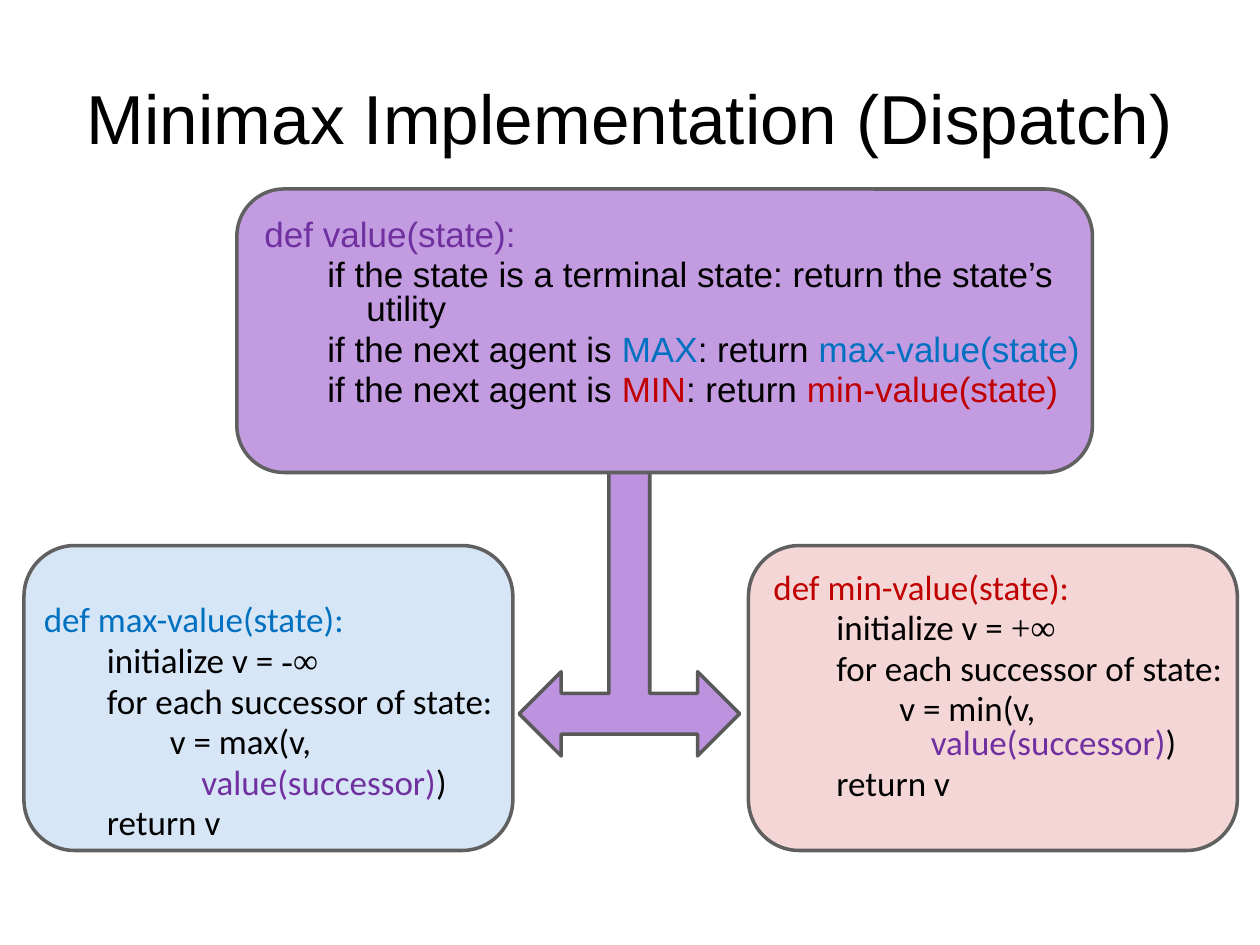
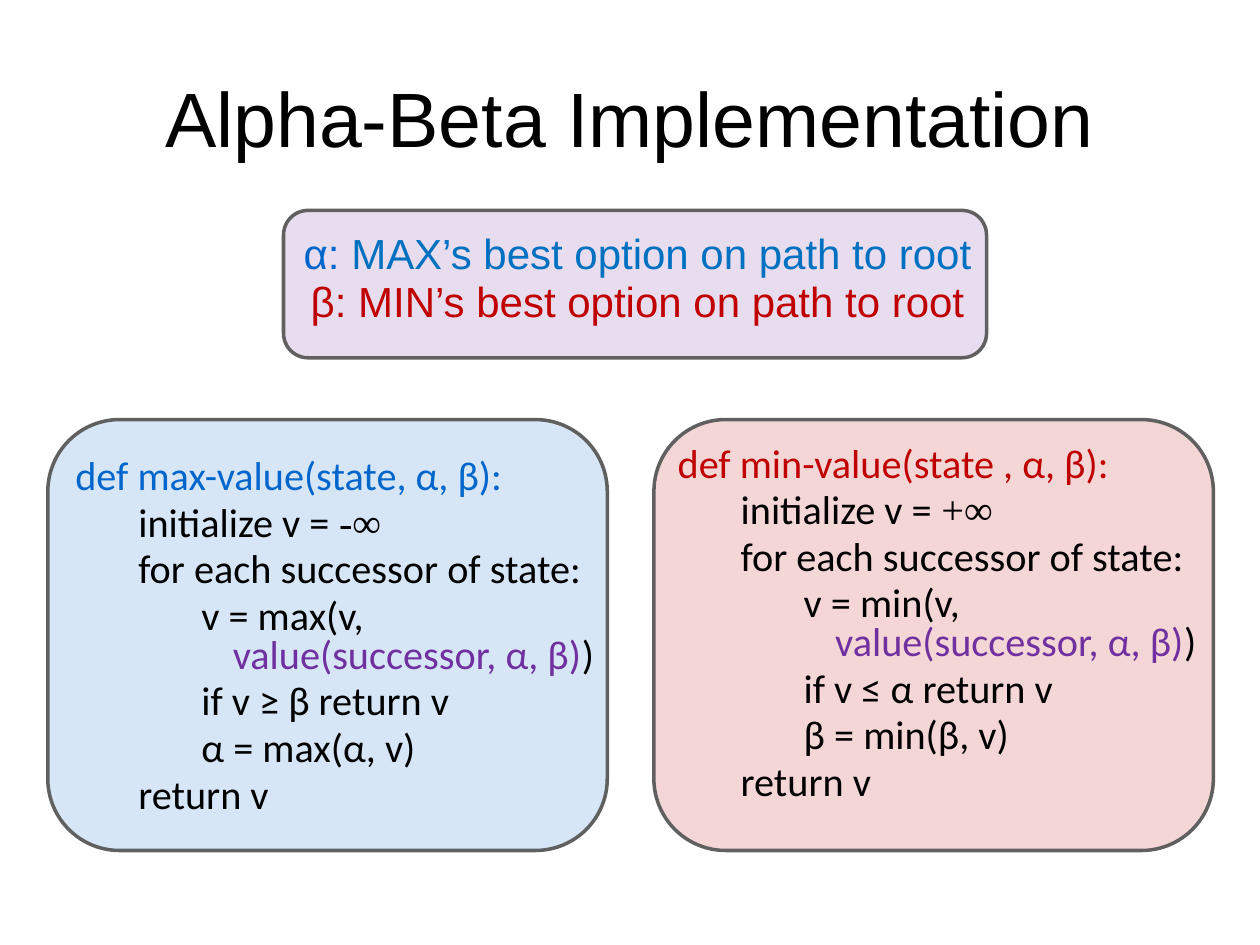
import lxml.etree
import pptx
import pptx.dml.color
import pptx.enum.shapes
import pptx.enum.text
import pptx.oxml.ns
import pptx.util

Inches = pptx.util.Inches
RGB = pptx.dml.color.RGBColor
KIND = pptx.enum.shapes.MSO_SHAPE
ALIGN = pptx.enum.text.PP_ALIGN
ANCHOR = pptx.enum.text.MSO_ANCHOR
qn = pptx.oxml.ns.qn

BLACK = RGB(0x00, 0x00, 0x00)
BLUE = RGB(0x00, 0x66, 0xCC)
SKY = RGB(0x00, 0x70, 0xC0)
RED = RGB(0xC0, 0x00, 0x00)
PURPLE = RGB(0x70, 0x30, 0xA0)
LILAC = RGB(0xC3, 0x9B, 0xE1)
MAUVE = RGB(0xBD, 0x92, 0xDE)
GREY = RGB(0x60, 0x60, 0x60)
SLATE = RGB(0x59, 0x59, 0x59)

SANS, CODE, MATH = "Arial", "Calibri", "Times New Roman"
# Left margin and first-line indent of each code level; the last one carries on a line
INDENTS = [(0.37, -0.37), (0.81, -0.31), (1.25, -0.25), (1.25, 0)]
CARRY = 3


class Deck:
    """Holds the presentation, its shared style and the current slide."""

    def __init__(self):
        self.prs = pptx.Presentation()
        self.prs.slide_width, self.prs.slide_height = Inches(10), Inches(7.5)
        self.slide = None

    def start(self, title, size):
        self.slide = self.prs.slides.add_slide(self.prs.slide_layouts[6])
        frame = self.frame(0.5, 0.3, 9, 1.25)
        frame.vertical_anchor = ANCHOR.MIDDLE
        frame.text = title
        para = frame.paragraphs[0]
        para.alignment = ALIGN.CENTER
        self.style(para.runs[0], size, SANS, BLACK)

    def frame(self, left, top, width, height):
        box = self.slide.shapes.add_textbox(*map(Inches, (left, top, width, height)))
        box.text_frame.word_wrap = True
        return box.text_frame

    def style(self, run, size, font, color):
        run.font.size = pptx.util.Pt(size)
        run.font.name = font
        run.font.color.rgb = color

    def shape(self, kind, area, fill, line=GREY, alpha=None):
        shape = self.slide.shapes.add_shape(kind, *map(Inches, area))
        shape.shadow.inherit = False
        shape.fill.solid()
        shape.fill.fore_color.rgb = fill
        shape.line.color.rgb = line
        shape.line.width = pptx.util.Pt(2)
        if alpha:
            tint = shape.fill._xPr.find(qn("a:solidFill"))[0]
            lxml.etree.SubElement(tint, qn("a:alpha"), val=str(alpha * 1000))
        return shape

    def panel(self, area, fill, alpha=None):
        return self.shape(KIND.ROUNDED_RECTANGLE, area, fill, alpha=alpha)

    def text(self, area, rows, size, font, align=None):
        """Write rows of (level, piece, ...); a piece is (text, color[, font])."""
        frame = self.frame(*area)
        for i, (level, *pieces) in enumerate(rows):
            para = frame.add_paragraph() if i else frame.paragraphs[0]
            para.alignment = align
            para.level = min(level, 2)
            para.line_spacing = 0.8
            props = para._p.get_or_add_pPr()
            margin, indent = INDENTS[level]
            props.set("marL", str(Inches(margin)))
            props.set("indent", str(Inches(indent)))
            if i:
                space = lxml.etree.SubElement(props, qn("a:spcBef"))
                lxml.etree.SubElement(space, qn("a:spcPct"), val="20000")
            for words, color, *face in pieces:
                run = para.add_run()
                run.text = words
                self.style(run, size, face[0] if face else font, color)


def plain(level, words):
    return level, (words, BLACK)


def define(head, color, bound, update, call, checks=(), split=False):
    """Rows of one search function; split puts the call in its own row."""
    tail = [(call, PURPLE), (")", BLACK)]
    step = [plain(2, update), (CARRY, *tail)] if split else [
        (2, (update + " ", BLACK), *tail)]
    return [
        (0, (f"def {head}:", color)),
        (1, ("initialize v = ", BLACK), (bound, BLACK, MATH)),
        plain(1, "for each successor of state:"),
        *step,
        *(plain(2, check) for check in checks),
        plain(1, "return v"),
    ]


def choice(agent, call, color):
    return (1, ("if the next agent is ", BLACK), (agent, color),
            (": return ", BLACK), (call, color))


def minimax(deck):
    deck.start("Minimax Implementation (Dispatch)", 39.6)
    arrow = deck.shape(KIND.LEFT_RIGHT_UP_ARROW, (4.12, 3.17, 1.75, 2.83), MAUVE, SLATE)
    for i, ratio in enumerate((0.185, 0.191, 0.191)):
        arrow.adjustments[i] = ratio
    for left, color in ((5.94, RED), (0.19, BLUE)):
        deck.panel((left, 4.33, 3.88, 2.42), color, 16)
    deck.panel((1.88, 1.5, 6.79, 2.25), LILAC)

    deck.text((2, 1.7, 6.75, 1.97), [
        (0, ("def value(state):", PURPLE)),
        plain(1, "if the state is a terminal state: return the state’s utility"),
        choice("MAX", "max-value(state)", SKY),
        choice("MIN", "min-value(state)", RED),
    ], 20, SANS)
    call = "value(successor)"
    deck.text((6.04, 4.5, 3.94, 2.5), define(
        "min-value(state)", RED, "+∞", "v = min(v,", call), 20, CODE)
    deck.text((0.25, 4.76, 4.44, 2.08), define(
        "max-value(state)", SKY, "-∞", "v = max(v,", call, split=True), 20, CODE)


def pruning(deck):
    deck.start("Alpha-Beta Implementation", 44)
    for left, color in ((5.19, RED), (0.38, BLUE)):
        deck.panel((left, 3.33, 4.44, 3.42), color, 16)
    deck.panel((2.25, 1.67, 5.58, 1.17), PURPLE, 16)

    deck.text((0, 1.83, 9.62, 1.58), [
        (1, ("α: ", BLUE), ("MAX’s best option on path to root", SKY)),
        (1, ("β: MIN’s best option on path to root", RED)),
    ], 24, SANS, ALIGN.CENTER)
    call = "value(successor, α, β)"
    deck.text((5.28, 3.5, 4.38, 3.17), define(
        "min-value(state , α, β)", RED, "+∞", "v = min(v,", call,
        ("if v ≤ α return v", "β = min(β, v)")), 23, CODE)
    deck.text((0.5, 3.6, 4.44, 3.17), define(
        "max-value(state, α, β)", BLUE, "-∞", "v = max(v,", call,
        ("if v ≥ β return v", "α = max(α, v)")), 23, CODE)


def main():
    deck = Deck()
    minimax(deck)
    pruning(deck)
    deck.prs.save("out.pptx")


if __name__ == "__main__":
    main()
